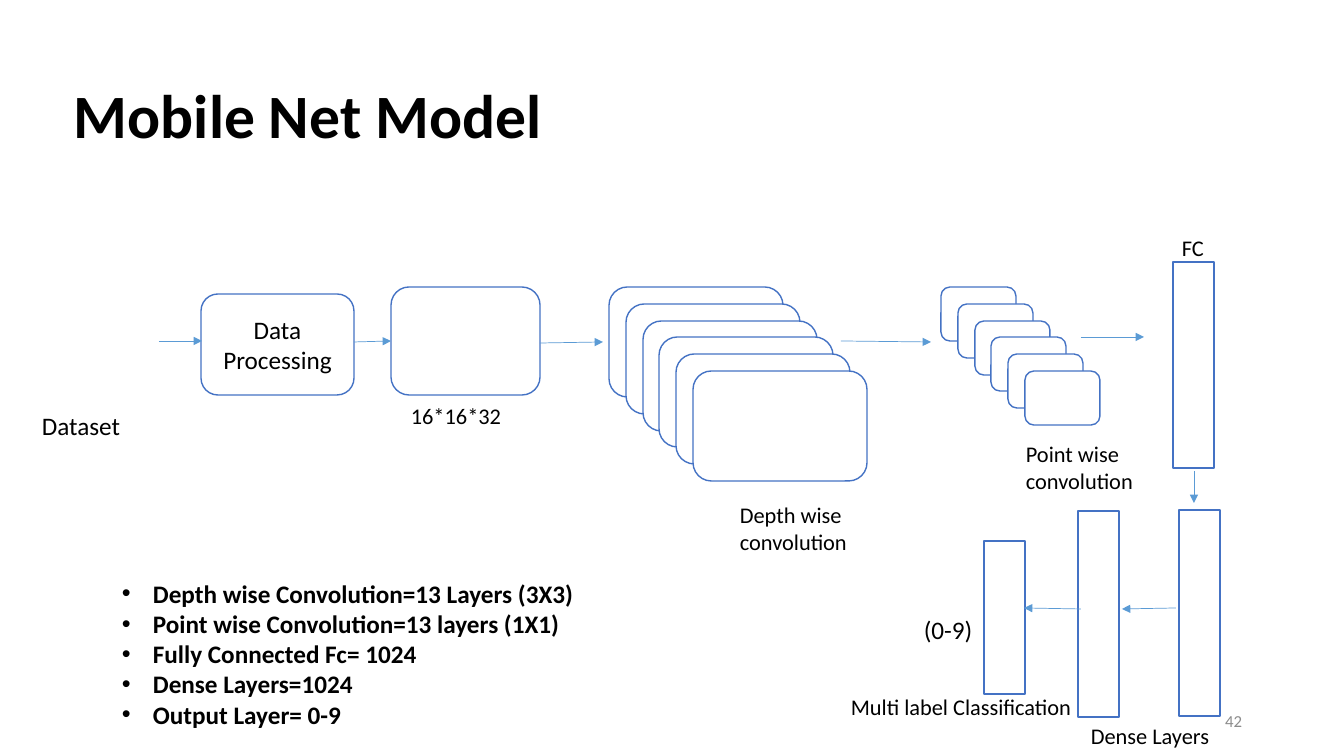
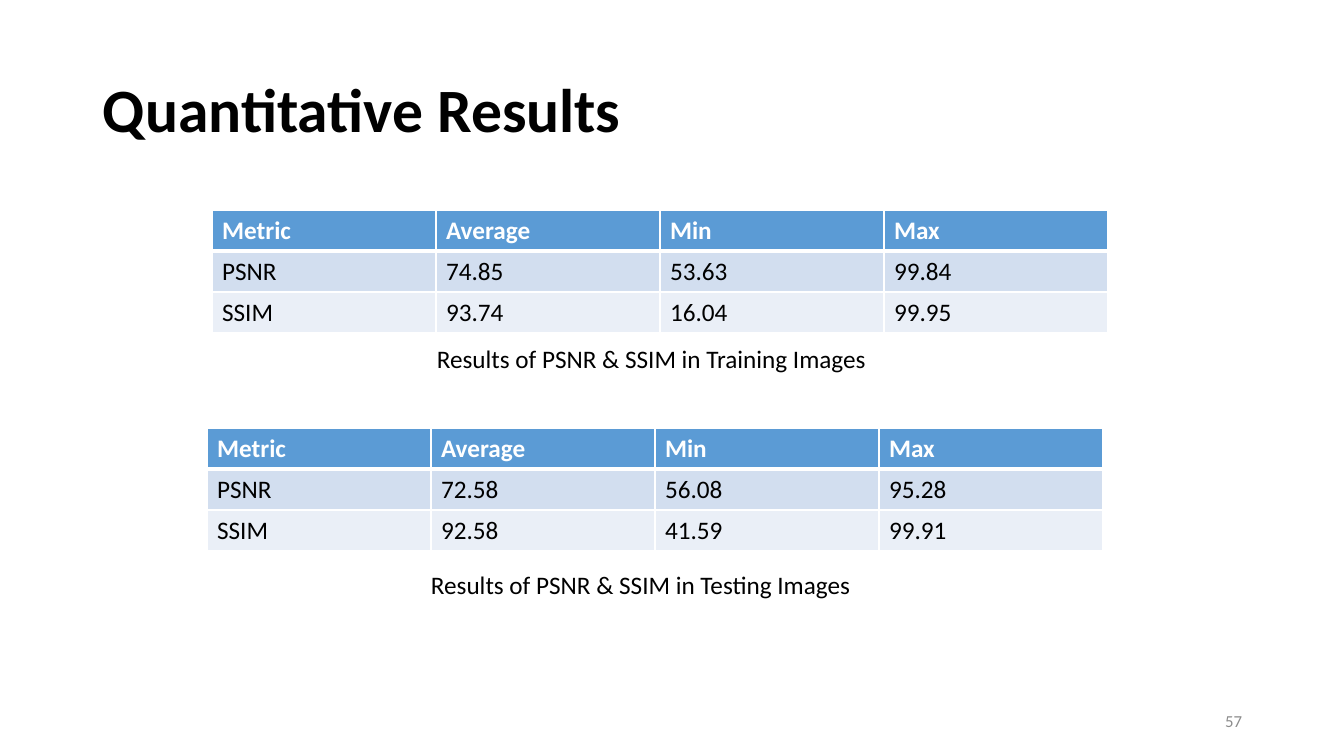
from dataclasses import dataclass

from lxml.etree import SubElement
from pptx import Presentation
from pptx.dml.color import RGBColor
from pptx.enum.shapes import MSO_CONNECTOR as Connector, MSO_SHAPE as Shape
from pptx.enum.text import MSO_ANCHOR as Anchor, PP_ALIGN as Align
from pptx.oxml.ns import qn
from pptx.util import Emu, Pt

# Content: every box is (left, top, width, height) in pixels
MODEL_TITLE = ("Mobile Net Model", (64, 46, 1159, 146))
RESULTS_TITLE = ("Quantitative Results", (93, 40, 1159, 146))
PAGE_NUMBERS = ("42", "57")

STAGE_LABELS = [
    ("16*16*32", (401, 397, 140, 37)),
    ("Depth wise convolution", (730, 496, 156, 65)),
    ("Point wise\nconvolution", (1016, 435, 129, 65)),
    ("FC", (1172, 229, 67, 37)),
    ("Dense Layers", (1081, 717, 140, 37)),
    ("Multi label Classification", (841, 688, 243, 37)),
]
END_LABELS = [
    ("Dataset", (32, 405, 100, 40)),
    ("(0-9)", (914, 609, 70, 40)),
]
LAYER_NOTES = "\n".join([
    "Depth wise Convolution=13 Layers (3X3)",
    "Point wise Convolution=13 layers (1X1)",
    "Fully Connected Fc= 1024",
    "Dense Layers=1024",
    "Output Layer= 0-9",
])
NOTES_BOX = (112, 573, 475, 163)

PROCESSING = ("Data\nProcessing", (201, 294, 153, 101))
INPUT_BOX = (391, 287, 149, 108)
CONVOLUTION_STACKS = [(609, 287, 174, 110), (941, 287, 75, 54)]
STACK_SHEETS, STACK_SPREAD = 6, 84
LAYER_COLUMNS = [
    (1173, 262, 41, 206),
    (1179, 510, 41, 206),
    (1078, 511, 41, 206),
    (984, 541, 41, 153),
]
ARROWS = [  # from x, from y, to x, to y
    (159, 341, 202, 341),
    (354, 342, 391, 341),
    (540, 343, 603, 342),
    (841, 341, 931, 342),
    (1081, 337, 1144, 337),
    (1194, 471, 1194, 503),
    (1176, 608, 1122, 609),
    (1081, 609, 1024, 608),
]

TABLE_HEADER = ("Metric", "Average", "Min", "Max")
RESULTS = [  # table corner, rows, caption, caption box
    ((212, 210), [("PSNR", "74.85", "53.63", "99.84"),
                  ("SSIM", "93.74", "16.04", "99.95")],
     "Results of PSNR & SSIM in Training Images", (427, 338, 456, 40)),
    ((207, 428), [("PSNR", "72.58", "56.08", "95.28"),
                  ("SSIM", "92.58", "41.59", "99.91")],
     "Results of PSNR & SSIM in Testing Images", (421, 564, 445, 40)),
]
COLUMN_WIDTH, ROW_HEIGHT = 224, 41
PAGE_NUMBER_BOX = (950, 701, 302, 40)
BULLET_INDENT = 31


@dataclass(frozen=True)
class Theme:
    """Colours, font and type sizes shared by the slides."""
    font: str = "Calibri"
    text: str = "000000"
    muted: str = "8C8C8C"
    white: str = "FFFFFF"
    outline: str = "4472C4"
    accent: str = "5B9BD5"
    bands: tuple = ("D2DEEF", "EAEFF7")
    title: int = 44
    body: int = 18
    label: int = 16
    number: int = 12


THEME = Theme()


def px(*lengths):
    """Turn pixels into a list of EMU lengths."""
    return [Emu(round(length * 914400 / 100.8)) for length in lengths]


def rgb(value):
    """Return a colour from its hex value."""
    return RGBColor.from_string(value)


def write(frame, text, size=THEME.body, color=THEME.text, bold=False,
          align=Align.LEFT, spacing=1.0):
    """Fill a text frame, one paragraph a line."""
    frame.text = text
    for paragraph in frame.paragraphs:
        paragraph.alignment = align
        paragraph.line_spacing = spacing
        font = paragraph.font
        font.name, font.size, font.bold = THEME.font, Pt(size), bold
        font.color.rgb = rgb(color)


def add_text(slide, text, box, anchor=Anchor.TOP, **style):
    """Add a wrapping text box and return its frame."""
    frame = slide.shapes.add_textbox(*px(*box)).text_frame
    frame.word_wrap = True
    frame.vertical_anchor = anchor
    write(frame, text, **style)
    return frame


def add_bullets(slide, text, box):
    """Add a bold bulleted list."""
    indent, = px(BULLET_INDENT)
    for paragraph in add_text(slide, text, box, bold=True).paragraphs:
        properties = paragraph._p.get_or_add_pPr()
        properties.set("marL", str(indent))
        properties.set("indent", str(-indent))
        SubElement(properties, qn("a:buFont"), typeface="Arial")
        SubElement(properties, qn("a:buChar"), char="•")


def add_box(slide, box, kind=Shape.ROUNDED_RECTANGLE):
    """Add a white outlined box."""
    shape = slide.shapes.add_shape(kind, *px(*box))
    shape.shadow.inherit = False
    shape.fill.solid()
    shape.fill.fore_color.rgb = rgb(THEME.white)
    shape.line.color.rgb = rgb(THEME.outline)
    shape.line.width = Pt(1)
    return shape


def add_stack(slide, left, top, width, height):
    """Add sheets that step evenly down and to the right."""
    for sheet in range(STACK_SHEETS):
        shift = round(STACK_SPREAD * sheet / (STACK_SHEETS - 1))
        add_box(slide, (left + shift, top + shift, width, height))


def add_arrow(slide, ends):
    """Add a thin arrow."""
    arrow = slide.shapes.add_connector(Connector.STRAIGHT, *px(*ends))
    arrow.line.color.rgb = rgb(THEME.accent)
    arrow.line.width = Pt(0.5)
    SubElement(arrow.line._get_or_add_ln(), qn("a:tailEnd"), type="triangle")
    SubElement(arrow._element.spPr, qn("a:effectLst"))


def set_borders(cell, bottom):
    """Draw white borders, with the given width in points below."""
    properties = cell._tc.get_or_add_tcPr()
    widths = {"a:lnL": 1, "a:lnR": 1, "a:lnT": 1, "a:lnB": bottom}
    for position, (tag, width) in enumerate(widths.items()):
        line = SubElement(properties, qn(tag), w=str(Pt(width)))
        fill = SubElement(line, qn("a:solidFill"))
        SubElement(fill, qn("a:srgbClr"), val=THEME.white)
        properties.insert(position, line)


def add_results_table(slide, corner, rows):
    """Add a table with a header row and tinted bands."""
    grid = [TABLE_HEADER, *rows]
    columns = len(TABLE_HEADER)
    size = (COLUMN_WIDTH * columns, ROW_HEIGHT * len(grid))
    table = slide.shapes.add_table(len(grid), columns, *px(*corner, *size)).table
    for row_index, values in enumerate(grid):
        header = row_index == 0
        band = THEME.accent if header else THEME.bands[(row_index - 1) % 2]
        for column_index, value in enumerate(values):
            cell = table.cell(row_index, column_index)
            cell.fill.solid()
            cell.fill.fore_color.rgb = rgb(band)
            write(cell.text_frame, value, bold=header,
                  color=THEME.white if header else THEME.text)
            set_borders(cell, bottom=3 if header else 1)


def add_slide(presentation, title, page_number):
    """Add a blank slide with its title and page number."""
    slide = presentation.slides.add_slide(presentation.slide_layouts[6])
    add_text(slide, *title, anchor=Anchor.MIDDLE, size=THEME.title,
             bold=True, spacing=0.9)
    add_text(slide, page_number, PAGE_NUMBER_BOX, anchor=Anchor.MIDDLE,
             size=THEME.number, color=THEME.muted, align=Align.RIGHT)
    return slide


def build_model(presentation):
    """Build the network diagram slide."""
    slide = add_slide(presentation, MODEL_TITLE, PAGE_NUMBERS[0])
    text, box = PROCESSING
    frame = add_box(slide, box).text_frame
    frame.vertical_anchor = Anchor.MIDDLE
    write(frame, text, align=Align.CENTER)
    add_box(slide, INPUT_BOX)
    for stack in CONVOLUTION_STACKS:
        add_stack(slide, *stack)
    for column in LAYER_COLUMNS:
        add_box(slide, column, Shape.RECTANGLE)
    for ends in ARROWS:
        add_arrow(slide, ends)
    for labels, size in ((STAGE_LABELS, THEME.label), (END_LABELS, THEME.body)):
        for label, label_box in labels:
            add_text(slide, label, label_box, size=size)
    add_bullets(slide, LAYER_NOTES, NOTES_BOX)


def build_results(presentation):
    """Build the slide with the two result tables."""
    slide = add_slide(presentation, RESULTS_TITLE, PAGE_NUMBERS[1])
    for corner, rows, caption, caption_box in RESULTS:
        add_results_table(slide, corner, rows)
        add_text(slide, caption, caption_box)


def main():
    """Build and save the presentation."""
    presentation = Presentation()
    presentation.slide_width, presentation.slide_height = px(1344, 756)
    build_model(presentation)
    build_results(presentation)
    presentation.save("out.pptx")


main()
